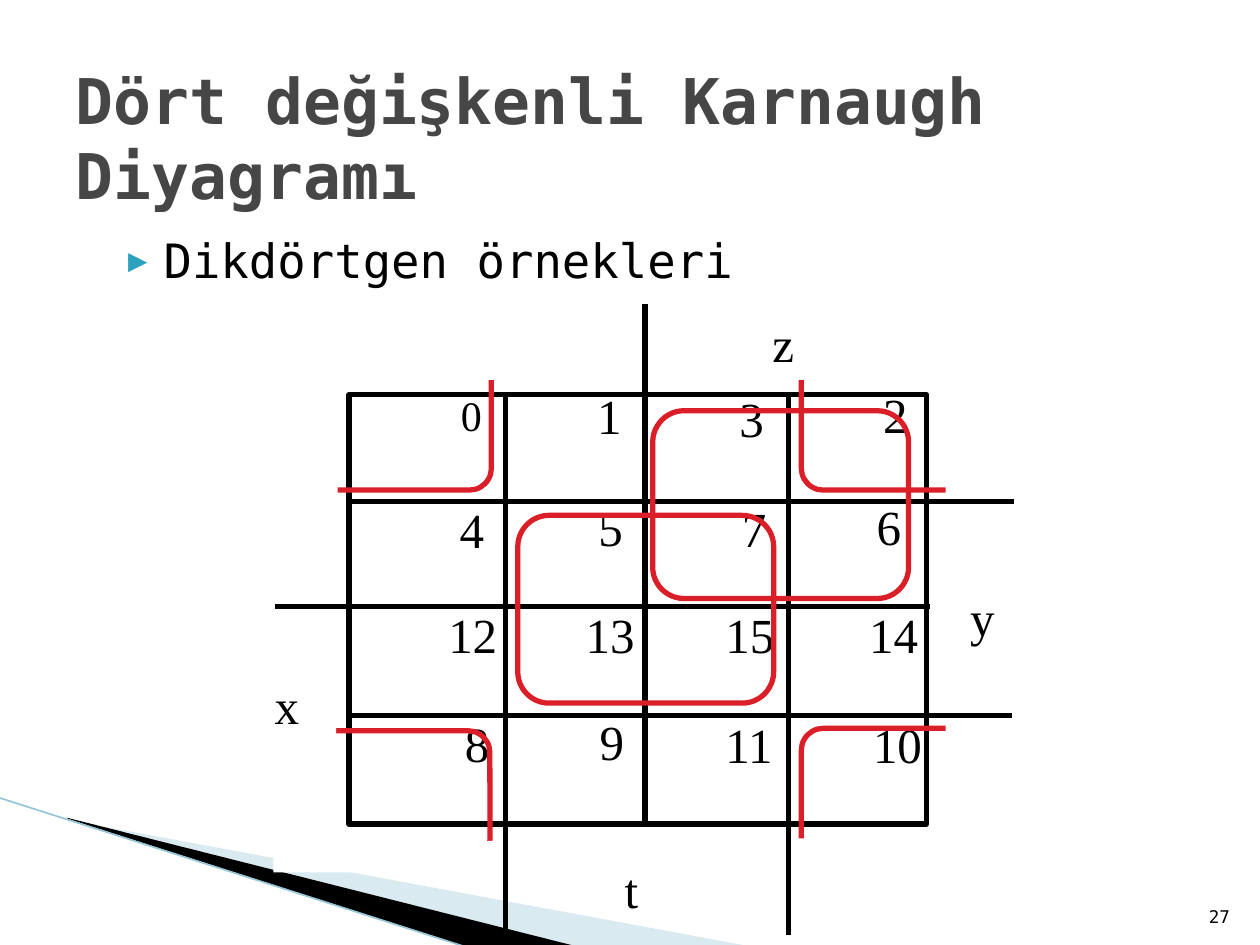
from typing import NamedTuple

from lxml import etree
from pptx import Presentation
from pptx.dml.color import RGBColor
from pptx.enum.shapes import MSO_CONNECTOR, MSO_SHAPE
from pptx.enum.text import MSO_ANCHOR, MSO_AUTO_SIZE, PP_ALIGN
from pptx.oxml.ns import qn
from pptx.util import Pt

STRAIGHT = MSO_CONNECTOR.STRAIGHT
RECT, ROUNDED = MSO_SHAPE.RECTANGLE, MSO_SHAPE.ROUNDED_RECTANGLE
TOP, MIDDLE, BOTTOM = MSO_ANCHOR.TOP, MSO_ANCHOR.MIDDLE, MSO_ANCHOR.BOTTOM
LEFT, RIGHT = PP_ALIGN.LEFT, PP_ALIGN.RIGHT

BLACK = RGBColor(0x00, 0x00, 0x00)
WHITE = RGBColor(0xFF, 0xFF, 0xFF)
RED = RGBColor(0xDA, 0x1F, 0x28)
TITLE_GREY = RGBColor(0x46, 0x46, 0x46)
PALE_BLUE = RGBColor(0xA0, 0xCB, 0xDC)
EDGE_BLUE = RGBColor(0x97, 0xC5, 0xD8)
BULLET_BLUE = "2DA2BF"

MONO, SERIF = "DejaVu Sans Mono", "Times New Roman"


class Box(NamedTuple):
    left: float
    top: float
    width: float
    height: float


class Label(NamedTuple):
    text: str
    left: float
    top: float
    size: float = 28


class Corner(NamedTuple):
    loop: Box
    on_left: bool
    on_bottom: bool


MAP_FRAME = Box(199.5, 225.4, 329.8, 245.5)
COLUMN_LINES = [(368.6, 173.5, 471.6), (288.7, 226.1, 530.6), (450.7, 223.9, 534.2)]
ROW_LINES = [(198, 286.6, 579.6), (157, 346.7, 531.4), (200.2, 409, 578.2)]

LABELS = [
    Label("0", 256.3, 218.9, 24), Label("1", 334.1, 216.7),
    Label("3", 415.4, 218.2), Label("2", 497.5, 216),
    Label("4", 255.6, 282.2), Label("5", 334.8, 280.8),
    Label("7", 416.9, 281.5), Label("6", 493.9, 280.1),
    Label("12", 249.1, 342), Label("13", 327.6, 342),
    Label("15", 407.5, 342), Label("14", 489.6, 342),
    Label("8", 258.5, 403.9), Label("9", 335.5, 403.2),
    Label("11", 407.5, 404.6), Label("10", 491.8, 404.6),
    Label("x", 149.8, 382.3), Label("y", 547.2, 331.9),
    Label("z", 434.2, 175.7), Label("t", 349.9, 487.4),
]

GROUPS = [Box(373, 234.7, 146.2, 107.3), Box(295.9, 294.5, 146.2, 107.3)]
CORNERS = [
    Corner(Box(457.9, 205.2, 99.4, 74.9), False, False),
    Corner(Box(175, 205.2, 105.8, 74.9), True, False),
    Corner(Box(174.2, 417.6, 105.8, 74.9), True, True),
    Corner(Box(457.9, 416.2, 99.4, 74.9), False, True),
]
# Covers as fractions of a top-right loop: over its top and its right side
COVERS = [Box(-0.04, -0.08, 1.21, 0.24), Box(0.83, 0.13, 0.26, 0.92)]


def to_points(box: Box) -> list:
    return [Pt(length) for length in box]


def write(frame, text: str, *, size: float, font: str, color=BLACK, bold=False,
          align=LEFT, anchor=TOP, before: float = 0):
    frame.word_wrap = True
    frame.auto_size = MSO_AUTO_SIZE.NONE
    frame.vertical_anchor = anchor
    paragraph = frame.paragraphs[0]
    paragraph.alignment = align
    paragraph.space_before = Pt(before)
    run = paragraph.add_run()
    run.text = text
    run.font.size, run.font.name = Pt(size), font
    run.font.bold, run.font.color.rgb = bold, color
    return paragraph


def add_text(slide, box: Box, text: str, **style):
    return write(slide.shapes.add_textbox(*to_points(box)).text_frame, text, **style)


def add_bullet(paragraph) -> None:
    props = paragraph._p.get_or_add_pPr()
    props.set("marL", str(Pt(28.8)))
    props.set("indent", str(Pt(-20.2)))
    color = etree.SubElement(props, qn("a:buClr"))
    etree.SubElement(color, qn("a:srgbClr"), val=BULLET_BLUE)
    etree.SubElement(props, qn("a:buSzPct"), val="68000")
    etree.SubElement(props, qn("a:buFont"), typeface=MONO)
    etree.SubElement(props, qn("a:buChar"), char="▶")


def add_line(slide, x1: float, y1: float, x2: float, y2: float,
             color=BLACK, width: float = 3) -> None:
    line = slide.shapes.add_connector(STRAIGHT, Pt(x1), Pt(y1), Pt(x2), Pt(y2))
    line.line.color.rgb, line.line.width = color, Pt(width)
    etree.SubElement(line._element.spPr, qn("a:effectLst"))


def add_outline(slide, kind, box: Box, color) -> None:
    outline = slide.shapes.add_shape(kind, *to_points(box))
    outline.shadow.inherit = False
    outline.fill.background()
    outline.line.color.rgb, outline.line.width = color, Pt(3)


def add_cover(slide, box: Box) -> None:
    cover = slide.shapes.add_shape(RECT, *to_points(box))
    cover.shadow.inherit = False
    cover.fill.solid()
    cover.fill.fore_color.rgb = WHITE
    cover.line.fill.background()


def add_corner(slide, corner: Corner) -> None:
    """Draw a rounded loop and cover its two outer sides."""
    loop = corner.loop
    add_outline(slide, ROUNDED, loop, RED)
    for x, y, width, height in COVERS:
        if corner.on_left:
            x = 1 - x - width
        if corner.on_bottom:
            y = 1 - y - height
        add_cover(slide, Box(loop.left + x * loop.width, loop.top + y * loop.height,
                             width * loop.width, height * loop.height))


def add_wedge(slide, points: list, color, opacity: int = 100) -> None:
    corners = [(Pt(x), Pt(y)) for x, y in points]
    builder = slide.shapes.build_freeform(*corners[0])
    builder.add_line_segments(corners[1:])
    wedge = builder.convert_to_shape()
    wedge.shadow.inherit = False
    wedge.fill.solid()
    wedge.fill.fore_color.rgb = color
    wedge.line.fill.background()
    if opacity < 100:
        tint = wedge._element.spPr.find(qn("a:solidFill"))[0]
        etree.SubElement(tint, qn("a:alpha"), val=str(opacity * 1000))


def main() -> None:
    deck = Presentation()
    deck.slide_width, deck.slide_height = Pt(720), Pt(540)
    slide = deck.slides.add_slide(deck.slide_layouts[5])

    # Wedges in the lower left corner
    add_wedge(slide, [(39.6, 468.7), (428.4, 540.7), (328.3, 540.7), (39.6, 468)],
              PALE_BLUE, 40)
    add_wedge(slide, [(38.2, 467.3), (329, 540.7), (267.8, 541.4), (38.9, 468)], BLACK)
    add_line(slide, -0.7, 455.8, 267.1, 541.4, EDGE_BLUE, 0.95)

    # Title, bullet and slide number
    title = slide.shapes.title
    title.left, title.top, title.width, title.height = to_points(Box(36, 36, 648, 84.2))
    write(title.text_frame, "Dört değişkenli Karnaugh Diyagramı", size=36, font=MONO,
          color=TITLE_GREY, bold=True, anchor=MIDDLE)
    add_bullet(add_text(slide, Box(57.6, 128.9, 612, 372.2), "Dikdörtgen örnekleri",
                        size=27, font=MONO, before=4))
    add_text(slide, Box(681.1, 504.7, 28.8, 28.8), "27", size=10, font=MONO,
             align=RIGHT, anchor=BOTTOM)

    # Karnaugh map
    for x, top, bottom in COLUMN_LINES:
        add_line(slide, x, top, x, bottom)
    for label in LABELS:
        width = 34.6 if len(label.text) == 1 else 52.6
        add_text(slide, Box(label.left, label.top, width, 41), label.text,
                 size=label.size, font=SERIF)
    add_outline(slide, RECT, MAP_FRAME, BLACK)
    for left, y, right in ROW_LINES:
        add_line(slide, left, y, right, y)

    # Groups of four, and the group that wraps around the four corners
    for group in GROUPS:
        add_outline(slide, ROUNDED, group, RED)
    for corner in CORNERS:
        add_corner(slide, corner)

    deck.save("out.pptx")


if __name__ == "__main__":
    main()
